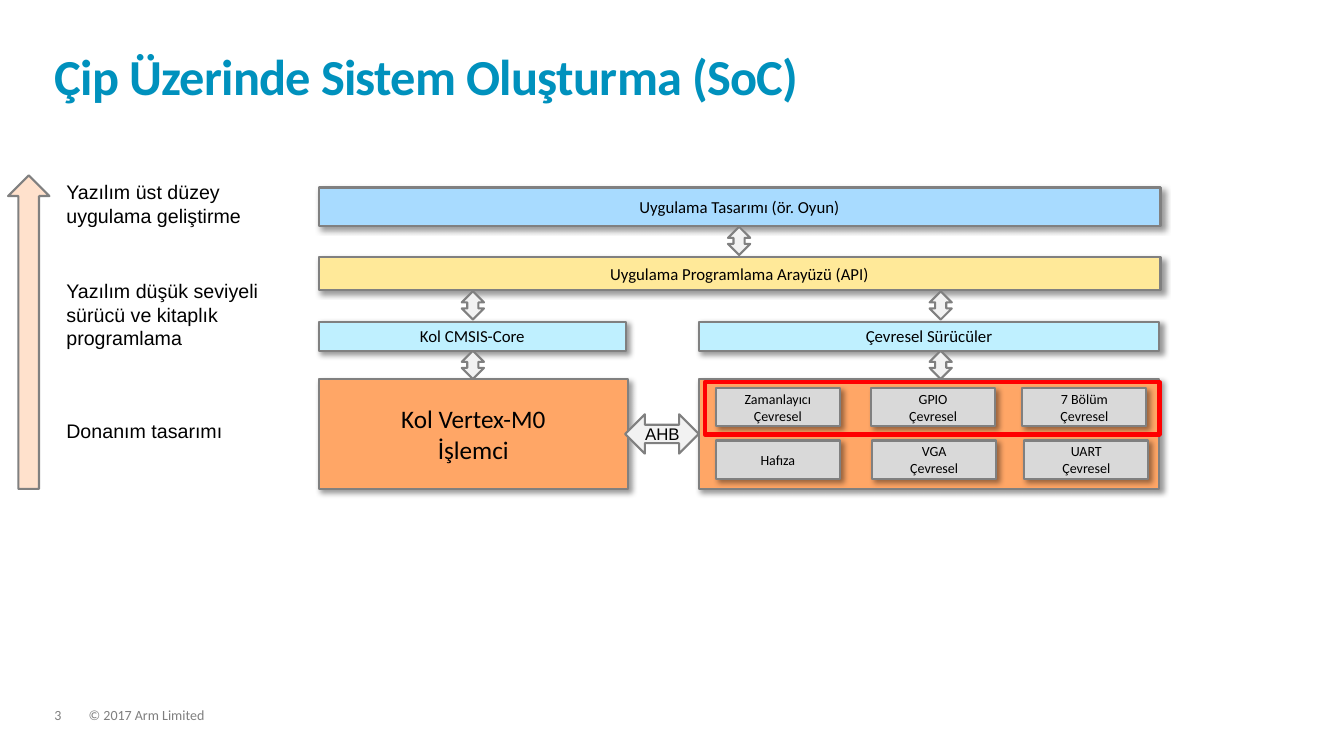
"""Builds the slide showing the software and hardware layers of a system on chip."""
from lxml import etree
from pptx import Presentation
from pptx.dml.color import RGBColor
from pptx.enum.shapes import MSO_SHAPE
from pptx.enum.text import MSO_ANCHOR, PP_ALIGN
from pptx.oxml.ns import qn
from pptx.util import Inches, Pt

RECT, UP, UP_DOWN = MSO_SHAPE.RECTANGLE, MSO_SHAPE.UP_ARROW, MSO_SHAPE.UP_DOWN_ARROW
TOP, MIDDLE, BOTTOM = MSO_ANCHOR.TOP, MSO_ANCHOR.MIDDLE, MSO_ANCHOR.BOTTOM
LEFT, CENTER = PP_ALIGN.LEFT, PP_ALIGN.CENTER

THEME = {
    "title": "0091BD", "footer": "7F7F7F", "text": "000000", "edge": "808080",
    "app": "A8DBFF", "api": "FFE999", "driver": "BFF0FF", "hardware": "FFA666",
    "block": "D9D9D9", "arrow": "F2F2F2", "level": "FFE1CC", "highlight": "FF0000",
    "heading": "Calibri", "body": "Arial",
    "title_pt": 36, "core_pt": 18, "label_pt": 14, "layer_pt": 12, "small_pt": 10,
    "edge_pt": 1.5, "highlight_pt": 3,
}

TITLE = "Çip Üzerinde Sistem Oluşturma (SoC)"
FOOTER = [("© 2017 Arm Limited", 0.88, 9.13), ("3", 0.54, 0.34)]
LABELS = [
    (["Yazılım üst düzey", "uygulama geliştirme"], 1.74, 3.02, 0.57),
    (["Yazılım düşük seviyeli sürücü ve kitaplık programlama"], 2.72, 2.59, 0.57),
    (["Donanım tasarımı"], 4.11, 2.44, 0.34),
]
CORE_X, PERIPHERAL_X = 3.16, 6.93
PERIPHERAL_W, FULL_W = 4.57, 8.35
LAYERS = [
    ([], (PERIPHERAL_X, 3.76, PERIPHERAL_W, 1.09), "hardware", "layer_pt"),
    (["Kol Vertex-M0", "İşlemci"], (CORE_X, 3.76, 3.07, 1.09), "hardware", "core_pt"),
    (["Kol CMSIS-Core"], (CORE_X, 3.19, 3.05, 0.29), "driver", "layer_pt"),
    (["Çevresel Sürücüler"], (PERIPHERAL_X, 3.19, PERIPHERAL_W, 0.29), "driver", "layer_pt"),
    (["Uygulama Programlama Arayüzü (API)"], (CORE_X, 2.55, FULL_W, 0.33), "api", "layer_pt"),
    (["Uygulama Tasarımı (ör. Oyun)"], (CORE_X, 1.86, FULL_W, 0.38), "app", "layer_pt"),
]
BLOCK_W, BLOCK_H = 1.23, 0.38
BLOCK_ROWS = [
    (3.85, [(7.1, ["Zamanlayıcı", "Çevresel"]), (8.64, ["GPIO", "Çevresel"]),
            (10.14, ["7 Bölüm", "Çevresel"])]),
    (4.37, [(7.1, ["Hafıza"]), (8.65, ["VGA", "Çevresel"]), (10.16, ["UART", "Çevresel"])]),
]
LAYER_ARROWS = [(7.22, 2.25), (4.58, 2.89), (9.22, 2.89), (4.58, 3.48), (9.22, 3.48)]


def color(name):
    return RGBColor.from_string(THEME[name])


def write(tf, lines, size, font="heading", ink="text", align=LEFT, anchor=TOP,
          inset=(0, 0), wrap=True):
    tf.word_wrap = wrap
    tf.vertical_anchor = anchor
    tf.margin_left = tf.margin_right = Inches(inset[0])
    tf.margin_top = tf.margin_bottom = Inches(inset[1])
    for i, line in enumerate(lines):
        p = tf.add_paragraph() if i else tf.paragraphs[0]
        p.alignment = align
        p.add_run().text = line
        p.font.name = THEME[font]
        p.font.size = Pt(THEME[size])
        p.font.color.rgb = color(ink)


def add_text(s, box, lines, size, **style):
    tf = s.shapes.add_textbox(*map(Inches, box)).text_frame
    write(tf, lines, size, **style)
    return tf.paragraphs[0]


def add_figure(s, kind, box, fill=None, edge="edge", width="edge_pt"):
    sp = s.shapes.add_shape(kind, *map(Inches, box))
    sp.shadow.inherit = False
    if fill:
        sp.fill.solid()
        sp.fill.fore_color.rgb = color(fill)
    else:
        sp.fill.background()
    sp.line.color.rgb = color(edge)
    sp.line.width = Pt(THEME[width])
    return sp


def add_box(s, lines, box, fill, size):
    sp = add_figure(s, RECT, box, fill)
    effects = sp._element.spPr.find(qn("a:effectLst"))
    shadow = etree.SubElement(effects, qn("a:outerShdw"), blurRad=str(Pt(4)),
                              dist=str(Pt(3)), dir="2700000", algn="tl", rotWithShape="0")
    tint = etree.SubElement(shadow, qn("a:srgbClr"), val=THEME["text"])
    etree.SubElement(tint, qn("a:alpha"), val="40000")
    write(sp.text_frame, lines, size, align=CENTER, anchor=MIDDLE, wrap=False)


def main():
    prs = Presentation()
    prs.slide_width, prs.slide_height = Inches(13.33), Inches(7.5)
    s = prs.slides.add_slide(prs.slide_layouts[6])

    for text, x, w in FOOTER:
        p = add_text(s, (x, 7.03, w, 0.15), [text], "small_pt", ink="footer")
        p.line_spacing = 0.9
    p = add_text(s, (0.54, 0.32, 12.23, 0.73), [TITLE], "title_pt", ink="title", anchor=BOTTOM)
    p.line_spacing = 0.85
    p.font.bold = True
    p.runs[0]._r.get_or_add_rPr().set("spc", "-50")

    for layer in LAYERS:
        add_box(s, *layer)
    for y, blocks in BLOCK_ROWS:
        for x, lines in blocks:
            add_box(s, lines, (x, y, BLOCK_W, BLOCK_H), "block", "small_pt")

    for x, y in LAYER_ARROWS:
        add_figure(s, UP_DOWN, (x, y, 0.22, 0.28), "arrow")
    add_figure(s, UP, (0.08, 1.74, 0.41, 3.11), "level")
    bus = add_figure(s, UP_DOWN, (6.37, 3.94, 0.39, 0.73), "arrow")
    bus.rotation = 90
    bus.adjustments[0], bus.adjustments[1] = 0.573, 0.468

    for lines, y, w, h in LABELS:
        add_text(s, (0.56, y, w, h), lines, "label_pt", font="body", inset=(0.1, 0.05))
    add_text(s, (6.3, 4.15, 0.83, 0.3), ["AHB"], "layer_pt", font="body", inset=(0.1, 0.05))
    add_figure(s, RECT, (6.99, 3.79, 4.51, 0.52), edge="highlight", width="highlight_pt")

    prs.save("out.pptx")


if __name__ == "__main__":
    main()
